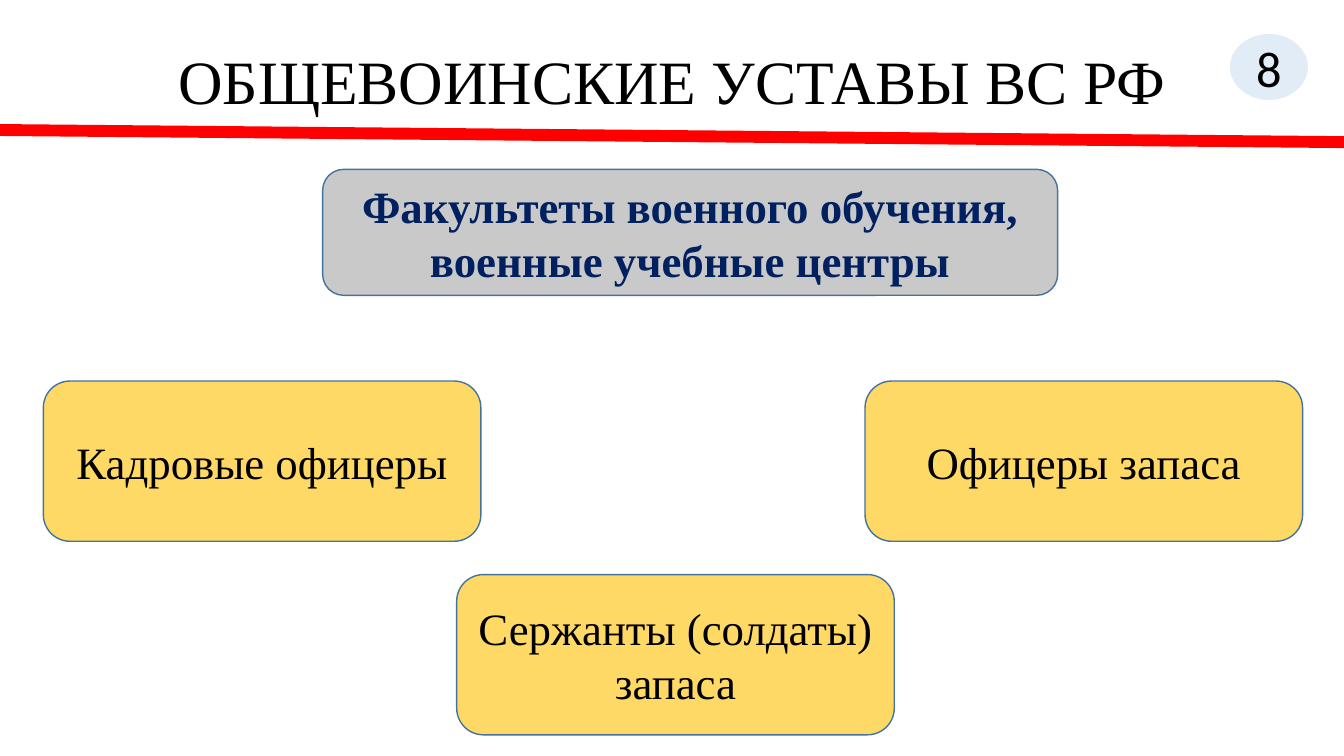
from dataclasses import dataclass

from lxml import etree
from pptx import Presentation
from pptx import util as u
from pptx.dml.color import RGBColor
from pptx.enum import shapes, text
from pptx.oxml import ns

COLORS: dict[str, str] = {
    "black": "000000",
    "white": "FFFFFF",
    "red": "FF0000",
    "navy": "002060",
    "grey": "C9C9C9",
    "yellow": "FFD966",
    "outline": "43739E",
    "badge": "5B9BD5",
}
SERIF = "Times New Roman"


@dataclass
class Box:
    label: str
    left: float
    top: float
    width: float = 4.34
    height: float = 1.59
    fill: str = "yellow"
    line: str = "outline"
    color: str = "black"
    font: str = SERIF
    size: int = 32
    bold: bool = False
    kind: shapes.MSO_SHAPE = shapes.MSO_SHAPE.ROUNDED_RECTANGLE


def rgb(name: str) -> RGBColor:
    return RGBColor.from_string(COLORS[name])


def style(p, font: str, size: int, color: str, bold: bool = False) -> None:
    p.alignment = text.PP_ALIGN.CENTER
    p.font.name = font
    p.font.size = u.Pt(size)
    p.font.bold = bold
    p.font.color.rgb = rgb(color)


def add_box(s, box: Box):
    sp = s.shapes.add_shape(box.kind, u.Inches(box.left), u.Inches(box.top),
                            u.Inches(box.width), u.Inches(box.height))
    sp.shadow.inherit = False
    sp.fill.solid()
    sp.fill.fore_color.rgb = rgb(box.fill)
    sp.line.color.rgb = rgb(box.line)
    sp.line.width = u.Pt(1)
    tf = sp.text_frame
    tf.word_wrap = True
    tf.vertical_anchor = text.MSO_ANCHOR.MIDDLE
    p = tf.paragraphs[0]
    p.text = box.label
    style(p, box.font, box.size, box.color, box.bold)
    return sp


def set_opacity(sp, percent: int) -> None:
    clr = sp.fill._xPr.find(ns.qn("a:solidFill"))[0]
    etree.SubElement(clr, ns.qn("a:alpha"), val=str(percent * 1000))


def add_title(s, label: str) -> None:
    sp = s.shapes.title
    sp.left, sp.top = u.Inches(0.92), u.Inches(0.4)
    sp.width, sp.height = u.Inches(11.5), u.Inches(1.45)
    tf = sp.text_frame
    tf.word_wrap = True
    tf.auto_size = text.MSO_AUTO_SIZE.NONE
    tf.vertical_anchor = text.MSO_ANCHOR.TOP
    tf.margin_top = u.Inches(0.11)
    p = tf.paragraphs[0]
    p.text = label
    p.line_spacing = 0.9
    style(p, SERIF, 44, "black")


def add_rule(s) -> None:
    cn = s.shapes.add_connector(shapes.MSO_CONNECTOR.STRAIGHT, 0, u.Inches(1.29),
                                u.Inches(13.33), u.Inches(1.41))
    cn.line.color.rgb = rgb("red")
    cn.line.width = u.Pt(8.5)
    etree.SubElement(cn._element.spPr, ns.qn("a:effectLst"))


def main() -> None:
    prs = Presentation()
    prs.slide_width, prs.slide_height = u.Inches(13.33), u.Inches(7.5)
    s = prs.slides.add_slide(prs.slide_layouts[5])

    # Heading and red rule
    add_title(s, "ОБЩЕВОИНСКИЕ УСТАВЫ ВС РФ")
    add_rule(s)

    # Slide number badge
    badge = add_box(s, Box("8", 12.19, 0.33, 0.79, 0.67, fill="badge", line="white",
                           font="Calibri", size=36, kind=shapes.MSO_SHAPE.OVAL))
    set_opacity(badge, 18)

    # Training centres and the personnel they prepare
    for box in (
        Box("Факультеты военного обучения, военные учебные центры",
            3.2, 1.68, 7.29, 1.25, fill="grey", color="navy", bold=True),
        Box("Кадровые офицеры", 0.43, 3.78),
        Box("Сержанты (солдаты) запаса", 4.53, 5.7),
        Box("Офицеры запаса", 8.58, 3.78),
    ):
        add_box(s, box)

    prs.save("out.pptx")


if __name__ == "__main__":
    main()
